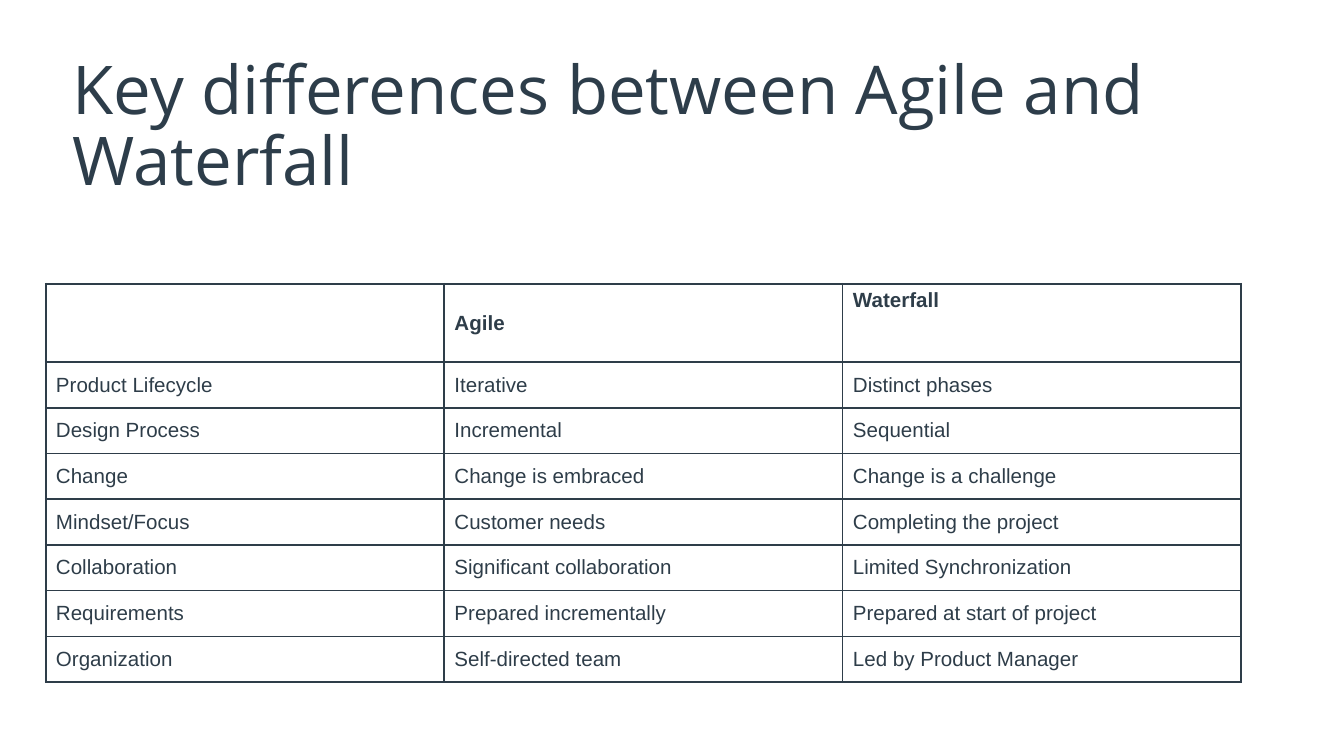
from lxml.etree import SubElement
from pptx import Presentation
from pptx.dml.color import RGBColor
from pptx.enum.text import MSO_ANCHOR as Anchor
from pptx.oxml.ns import qn
from pptx.util import Pt

COLORS = {"title": "2D3D4A", "table": "2E3D49", "page": "FFFFFF"}

ROWS = [
    ("", "Agile", "Waterfall"),
    ("Product Lifecycle", "Iterative", "Distinct phases"),
    ("Design Process", "Incremental", "Sequential"),
    ("Change", "Change is embraced", "Change is a challenge"),
    ("Mindset/Focus", "Customer needs", "Completing the project"),
    ("Collaboration", "Significant collaboration", "Limited Synchronization"),
    ("Requirements", "Prepared incrementally", "Prepared at start of project"),
    ("Organization", "Self-directed team", "Led by Product Manager"),
]


def write_text(frame, text, *, font, size, color, bold=False, spacing=1.0):
    frame.word_wrap = True
    para = frame.paragraphs[0]
    para.line_spacing = spacing
    para.font.size = Pt(size)
    if text:
        span = para.add_run()
        span.text = text
        span.font.name = font
        span.font.size = Pt(size)
        span.font.bold = bold
        span.font.color.rgb = RGBColor.from_string(COLORS[color])


def set_borders(cell, color, width):
    props = cell._tc.get_or_add_tcPr()
    for index, side in enumerate(("lnL", "lnR", "lnT", "lnB")):
        line = props.makeelement(qn(f"a:{side}"), {"w": str(Pt(width))})
        fill = SubElement(line, qn("a:solidFill"))
        SubElement(fill, qn("a:srgbClr"), val=COLORS[color])
        props.insert(index, line)


def add_title(page, left, top, width, height):
    box = page.shapes.add_textbox(Pt(left), Pt(top), Pt(width), Pt(height))
    frame = box.text_frame
    frame.margin_left = frame.margin_right = frame.margin_bottom = Pt(3)
    frame.margin_top = Pt(7)
    write_text(frame, "Key differences between Agile and Waterfall",
               font="Open Sans", size=36, color="title", spacing=0.88)


def add_comparison(page, left, top, width, height, header_height=42):
    column_count = len(ROWS[0])
    table = page.shapes.add_table(len(ROWS), column_count, Pt(left), Pt(top),
                                  Pt(width), Pt(height)).table
    table.horz_banding = False
    for column in table.columns:
        column.width = Pt(width / column_count)
    body_height = (height - header_height) / (len(ROWS) - 1)
    for row_index, texts in enumerate(ROWS):
        header = row_index == 0
        table.rows[row_index].height = Pt(header_height if header else body_height)
        for column_index, text in enumerate(texts):
            cell = table.cell(row_index, column_index)
            cell.fill.solid()
            cell.fill.fore_color.rgb = RGBColor.from_string(COLORS["page"])
            cell.margin_left = cell.margin_right = Pt(5.5)
            cell.margin_top = cell.margin_bottom = Pt(3)
            top_aligned = text == "Waterfall"
            cell.vertical_anchor = Anchor.TOP if top_aligned else Anchor.MIDDLE
            write_text(cell.text_frame, text, font="Arial", size=11,
                       color="table", bold=header)
            set_borders(cell, "table", 1)


def main():
    deck = Presentation()
    deck.slide_width, deck.slide_height = Pt(720), Pt(405)
    page = deck.slides.add_slide(deck.slide_layouts[6])
    add_title(page, 36, 24, 648, 47)
    add_comparison(page, 24.5, 152, 640.5, 213.5)
    deck.save("out.pptx")


if __name__ == "__main__":
    main()
